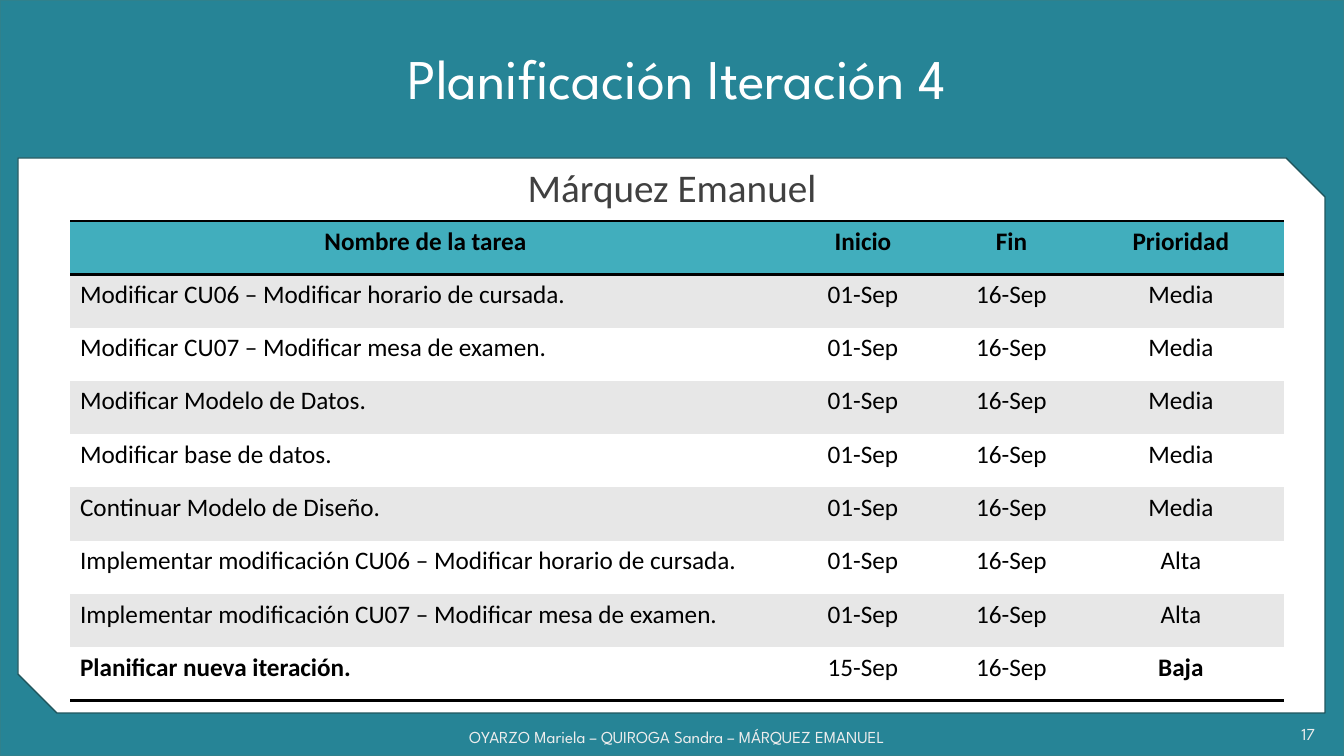
import pptx
import pptx.dml.color
import pptx.enum.shapes
import pptx.enum.text
import pptx.oxml
import pptx.oxml.ns
import pptx.util

COLOURS = {
    "background": "F2F2F2", "backdrop": "268496", "backdrop line": "30818C",
    "panel line": "20575E", "white": "FFFFFF", "footer": "EDEDED",
    "subtitle": "404040", "black": "000000", "header": "41AEBD", "band": "E7E7E7",
}
EMU_PER_PX = 914400 / 100.8
SHAPES = pptx.enum.shapes.MSO_SHAPE
ALIGN = pptx.enum.text.PP_ALIGN
ANCHOR = pptx.enum.text.MSO_ANCHOR

HEADINGS = ("Nombre de la tarea", "Inicio", "Fin", "Prioridad")
TASKS = [
    ("Modificar CU06 – Modificar horario de cursada.", "01-Sep", "Media"),
    ("Modificar CU07 – Modificar mesa de examen.", "01-Sep", "Media"),
    ("Modificar Modelo de Datos.", "01-Sep", "Media"),
    ("Modificar base de datos.", "01-Sep", "Media"),
    ("Continuar Modelo de Diseño.", "01-Sep", "Media"),
    ("Implementar modificación CU06 – Modificar horario de cursada.", "01-Sep", "Alta"),
    ("Implementar modificación CU07 – Modificar mesa de examen.", "01-Sep", "Alta"),
    ("Planificar nueva iteración.", "15-Sep", "Baja"),
]
END_DATE = "16-Sep"


def px(length):
    return pptx.util.Emu(round(length * EMU_PER_PX))


def colour(name):
    return pptx.dml.color.RGBColor.from_string(COLOURS[name])


class SlidePainter:
    """Holds the fonts and the slide being drawn."""

    display_font = "League Spartan"
    body_font = "Calibri"

    def __init__(self, page):
        self.page = page

    def background(self, fill):
        self.page.background.fill.solid()
        self.page.background.fill.fore_color.rgb = colour(fill)

    def shape(self, kind, area, fill, line, adjustments=()):
        shape = self.page.shapes.add_shape(kind, *map(px, area))
        shape.shadow.inherit = False
        shape.fill.solid()
        shape.fill.fore_color.rgb = colour(fill)
        shape.line.color.rgb = colour(line)
        shape.line.width = pptx.util.Pt(1)
        for index, value in enumerate(adjustments):
            shape.adjustments[index] = value

    def span(self, para, text, size, font, ink, bold=False):
        span = para.add_run()
        span.text = text
        span.font.size = pptx.util.Pt(size)
        span.font.name = font
        span.font.bold = bold
        span.font.color.rgb = colour(ink)

    def text(self, area, text, size, font, ink, align=ALIGN.CENTER,
             anchor=ANCHOR.MIDDLE, line_spacing=1.0):
        box = self.page.shapes.add_textbox(*map(px, area))
        frame = box.text_frame
        frame.word_wrap = True
        frame.vertical_anchor = anchor
        para = frame.paragraphs[0]
        para.alignment = align
        para.line_spacing = line_spacing
        self.span(para, text, size, font, ink)

    def borders(self, cell, ruled_sides):
        """Draw a black 2 pt line on the ruled sides and clear the others."""
        properties = cell._tc.get_or_add_tcPr()
        for index, side in enumerate("LRTB"):
            if side in ruled_sides:
                paint = f'<a:solidFill><a:srgbClr val="{COLOURS["black"]}"/></a:solidFill>'
            else:
                paint = "<a:noFill/>"
            namespace = pptx.oxml.ns.nsdecls("a")
            line = f'<a:ln{side} {namespace} w="25400">{paint}</a:ln{side}>'
            properties.insert(index, pptx.oxml.parse_xml(line))

    def cell(self, cell, text, fill, align, bold, ruled_sides):
        cell.fill.solid()
        cell.fill.fore_color.rgb = colour(fill)
        self.borders(cell, ruled_sides)
        para = cell.text_frame.paragraphs[0]
        para.alignment = align
        self.span(para, text, 18, self.body_font, "black", bold)

    def table(self, area, widths, rows):
        table = self.page.shapes.add_table(len(rows), len(widths), *map(px, area)).table
        table.first_row = True
        table.horz_banding = False
        for column, width in zip(table.columns, widths):
            column.width = px(width)
        last = len(rows) - 1
        for r, row in enumerate(rows):
            table.rows[r].height = px(area[3] / len(rows))
            fill = "header" if r == 0 else "band" if r % 2 else "white"
            ruled_sides = {0: "TB", 1: "T", last: "B"}.get(r, "")
            for c, text in enumerate(row):
                align = ALIGN.LEFT if r and c == 0 else ALIGN.CENTER
                bold = r == 0 or (r == last and c in (0, 3))
                self.cell(table.cell(r, c), text, fill, align, bold, ruled_sides)


def main():
    deck = pptx.Presentation()
    deck.slide_width, deck.slide_height = px(1344), px(756)
    painter = SlidePainter(deck.slides.add_slide(deck.slide_layouts[6]))
    display, body = painter.display_font, painter.body_font

    painter.background("background")
    painter.shape(SHAPES.RECTANGLE, (0, 0, 1344, 756), "backdrop", "backdrop line")
    painter.shape(SHAPES.SNIP_2_DIAG_RECTANGLE, (18, 158, 1307, 555),
                  "white", "panel line", (0, 0.07))
    painter.text((270, 8, 814, 146), "Planificación Iteración 4", 40, display,
                 "white", line_spacing=0.9)
    painter.text((337, 717, 680, 40), "OYARZO Mariela – QUIROGA Sandra – MÁRQUEZ EMANUEL",
                 12, display, "footer")
    painter.text((1136, 714, 189, 39), "17", 12, display, "footer", ALIGN.RIGHT)
    rows = [HEADINGS] + [(task, start, END_DATE, priority)
                         for task, start, priority in TASKS]
    painter.table((70, 221, 1214, 480), (711, 164, 133, 206), rows)
    painter.text((19, 164, 1306, 56), "Márquez Emanuel", 28, body, "subtitle",
                 anchor=ANCHOR.TOP, line_spacing=0.9)
    deck.save("out.pptx")


if __name__ == "__main__":
    main()
